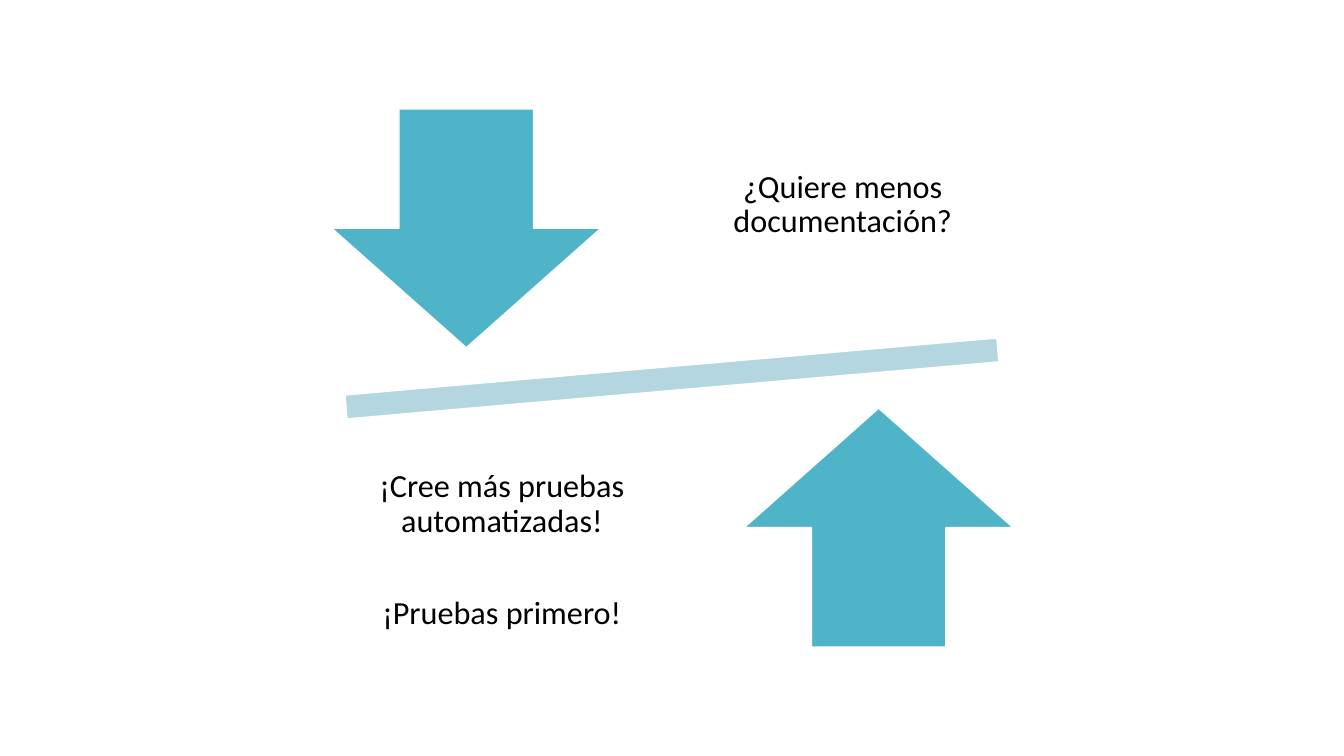
from pptx import Presentation
from pptx import util as u
from pptx.dml.color import RGBColor
from pptx.enum import shapes, text

# Content
QUESTION = ["¿Quiere menos documentación?"]
ANSWERS = ["¡Cree más pruebas automatizadas!", "¡Pruebas primero!"]

THEME = {
    "arrow": RGBColor(0x50, 0xB4, 0xC8),
    "beam": RGBColor(0xB3, 0xD6, 0xE0),
    "outline": RGBColor(0xFF, 0xFF, 0xFF),
    "ink": RGBColor(0, 0, 0),
    "font": "Calibri",
    "size": u.Pt(23),
}

# Geometry in inches: everything mirrors through the beam's centre
CENTRE = (6.67, 3.75)
BEAM_SIZE = (8.83, 1.01)
ARROW_SIZE = (2.67, 2.37)
LABEL_SIZE = (2.84, 2.49)
ARROW_OFFSET = (2.05, 1.485)
LABEL_OFFSET = (1.685, 1.715)
LABEL_INSET = 0.18
BEAM_TILT = 355


def box(size, offset=(0, 0), side=1):
    """Left, top, width and height of a part set off from the centre."""
    corner = [c + side * o - s / 2 for c, o, s in zip(CENTRE, offset, size)]
    return [u.Inches(round(value, 2)) for value in (*corner, *size)]


def add_part(slide, kind, place, color, rotation=0):
    part = slide.shapes.add_shape(kind, *place)
    part.shadow.inherit = False
    part.rotation = rotation
    part.fill.solid()
    part.fill.fore_color.rgb = color
    part.line.color.rgb = THEME["outline"]
    part.line.width = u.Pt(1)


def add_label(slide, lines, place, *, size=THEME["size"], color=THEME["ink"],
              font=THEME["font"], gap=u.Pt(41)):
    frame = slide.shapes.add_textbox(*place).text_frame
    frame.word_wrap = True
    frame.vertical_anchor = text.MSO_ANCHOR.MIDDLE
    frame.margin_left = frame.margin_right = u.Inches(LABEL_INSET)
    frame.margin_top = frame.margin_bottom = u.Inches(LABEL_INSET)
    for index, line in enumerate(lines):
        paragraph = frame.add_paragraph() if index else frame.paragraphs[0]
        paragraph.alignment = text.PP_ALIGN.CENTER
        paragraph.line_spacing = 0.9
        paragraph.space_before = gap if index else u.Pt(0)
        run = paragraph.add_run()
        run.text = line
        run.font.size = size
        run.font.name = font
        run.font.color.rgb = color


def main():
    deck = Presentation()
    deck.slide_width, deck.slide_height = u.Inches(13.33), u.Inches(7.5)
    slide = deck.slides.add_slide(deck.slide_layouts[6])

    # Tilted beam
    add_part(slide, shapes.MSO_SHAPE.MATH_MINUS, box(BEAM_SIZE),
             THEME["beam"], BEAM_TILT)

    # Falling side, upper half
    add_part(slide, shapes.MSO_SHAPE.DOWN_ARROW,
             box(ARROW_SIZE, ARROW_OFFSET, -1), THEME["arrow"])
    label_right = (LABEL_OFFSET[0], -LABEL_OFFSET[1])
    add_label(slide, QUESTION, box(LABEL_SIZE, label_right))

    # Rising side, lower half
    add_part(slide, shapes.MSO_SHAPE.UP_ARROW,
             box(ARROW_SIZE, ARROW_OFFSET), THEME["arrow"])
    add_label(slide, ANSWERS, box(LABEL_SIZE, label_right, -1))

    deck.save("out.pptx")


if __name__ == "__main__":
    main()
